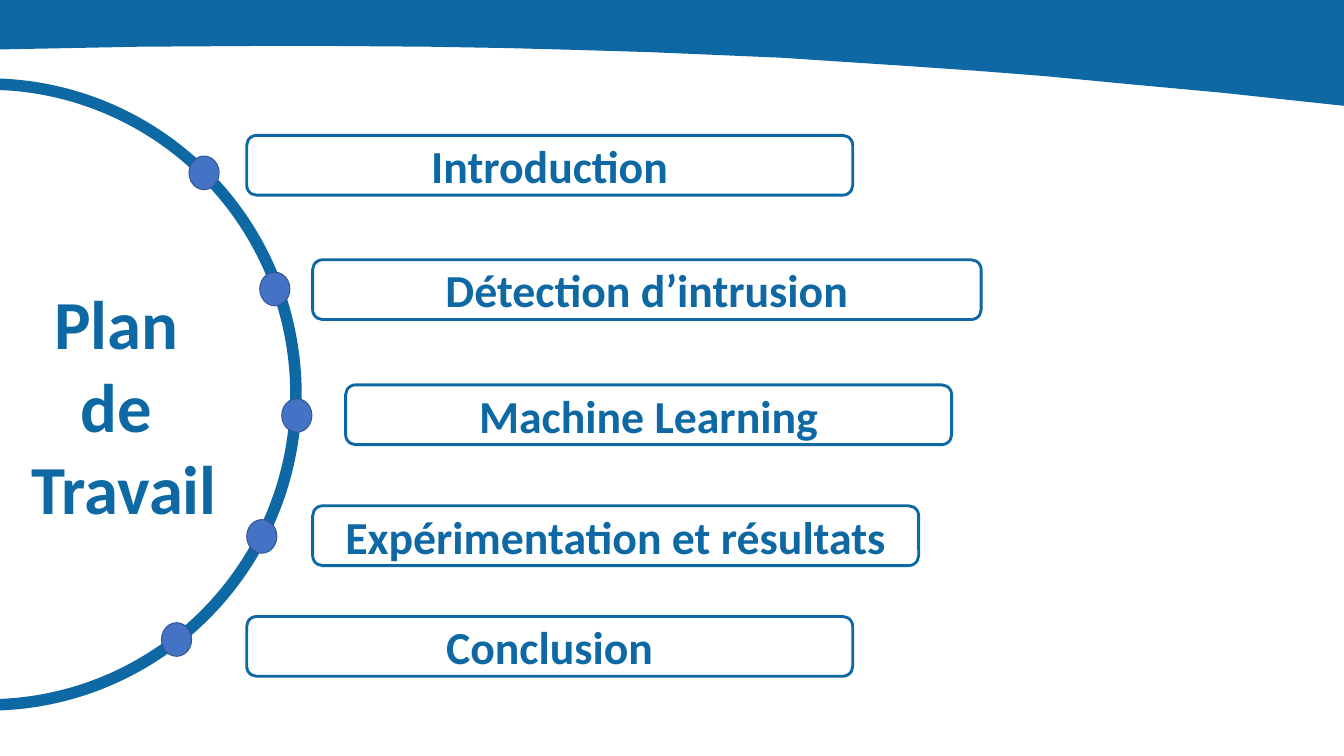
from dataclasses import dataclass

from pptx import Presentation
from pptx.dml.color import RGBColor as RGB
from pptx.enum.shapes import MSO_SHAPE as Shape
from pptx.enum.text import MSO_ANCHOR as Anchor, MSO_AUTO_SIZE as AutoSize, PP_ALIGN as Align
from pptx.util import Inches, Pt


@dataclass(frozen=True)
class Theme:
    font: str = "Calibri"
    blue: RGB = RGB(0x0D, 0x68, 0xA4)
    dot: RGB = RGB(0x44, 0x72, 0xC4)
    dot_line: RGB = RGB(0x32, 0x54, 0x91)
    title_size: int = 72
    item_size: int = 48


@dataclass(frozen=True)
class Section:
    text: str
    left: float
    top: float
    dot_left: float
    dot_top: float
    width: float = 8.82


THEME = Theme()
SLIDE_W, SLIDE_H = 19.56, 11
BOX_H = 0.87
DOT_W, DOT_H = 0.44, 0.49

SECTIONS = [
    Section("Introduction", 3.59, 1.97, 2.75, 2.27),
    Section("Détection d’intrusion", 4.55, 3.78, 3.78, 3.96, width=9.73),
    Section("Machine Learning", 5.03, 5.6, 4.1, 5.8),
    Section("Expérimentation et résultats", 4.55, 7.36, 3.59, 7.56),
    Section("Conclusion", 3.59, 8.97, 2.35, 9.06),
]

# Lower edge of the header band, from right to left
BAND_EDGE = [
    (19.56, 1.54), (17.79, 1.35), (16.38, 1.22), (15.23, 1.11), (14.21, 1.03),
    (13.19, 0.96), (12.28, 0.9), (11.36, 0.84), (10.43, 0.8), (9.48, 0.76),
    (8.51, 0.73), (7.39, 0.7), (6.24, 0.68), (4.9, 0.67), (3.64, 0.67),
    (2.03, 0.68), (0, 0.72),
]


def format_text(tf, size: int) -> None:
    for p in tf.paragraphs:
        p.alignment = Align.CENTER
        p.line_spacing = 1.0
        for r in p.runs:
            r.font.name = THEME.font
            r.font.size = Pt(size)
            r.font.bold = True
            r.font.color.rgb = THEME.blue


def paint(sp, fill: RGB | None, line: RGB, width: float) -> None:
    sp.shadow.inherit = False
    if fill is None:
        sp.fill.background()
    else:
        sp.fill.solid()
        sp.fill.fore_color.rgb = fill
    sp.line.color.rgb = line
    sp.line.width = Pt(width)


def add_band(s) -> None:
    points = [(Inches(x), Inches(y)) for x, y in [(SLIDE_W, 0), *BAND_EDGE]]
    builder = s.shapes.build_freeform(0, 0)
    builder.add_line_segments(points, close=True)
    sp = builder.convert_to_shape()
    paint(sp, THEME.blue, THEME.blue, 0)
    sp.line.fill.background()


def add_arc(s) -> None:
    sp = s.shapes.add_shape(Shape.BLOCK_ARC, Inches(-4.76), Inches(1.19), Inches(9.17), Inches(9.1))
    sp.rotation = 90
    sp.adjustments[0] = 108  # 180 degrees
    sp.adjustments[1] = 0
    sp.adjustments[2] = 0.015  # ring thickness
    paint(sp, THEME.blue, THEME.blue, 2.25)


def add_dot(s, section: Section) -> None:
    sp = s.shapes.add_shape(Shape.OVAL, Inches(section.dot_left), Inches(section.dot_top),
                            Inches(DOT_W), Inches(DOT_H))
    paint(sp, THEME.dot, THEME.dot_line, 1)


def add_box(s, section: Section) -> None:
    sp = s.shapes.add_shape(Shape.ROUNDED_RECTANGLE, Inches(section.left), Inches(section.top),
                            Inches(section.width), Inches(BOX_H))
    paint(sp, None, THEME.blue, 3)
    tf = sp.text_frame
    tf.text = section.text
    tf.vertical_anchor = Anchor.MIDDLE
    format_text(tf, THEME.item_size)


def set_title(s) -> None:
    sp = s.shapes.title
    sp.left, sp.top, sp.width, sp.height = (Inches(v) for v in (0.34, 4.04, 2.93, 3.74))
    tf = sp.text_frame
    tf.text = "Plan \nde \nTravail"
    tf.word_wrap = False
    tf.auto_size = AutoSize.SHAPE_TO_FIT_TEXT
    tf.vertical_anchor = Anchor.TOP
    format_text(tf, THEME.title_size)


def main() -> None:
    prs = Presentation()
    prs.slide_width, prs.slide_height = Inches(SLIDE_W), Inches(SLIDE_H)
    s = prs.slides.add_slide(prs.slide_layouts[5])

    # Background shapes
    add_band(s)
    add_arc(s)

    # Agenda: a dot on the arc and a box for each section
    for section in SECTIONS:
        add_dot(s, section)
        add_box(s, section)

    set_title(s)
    prs.save("out.pptx")


if __name__ == "__main__":
    main()
